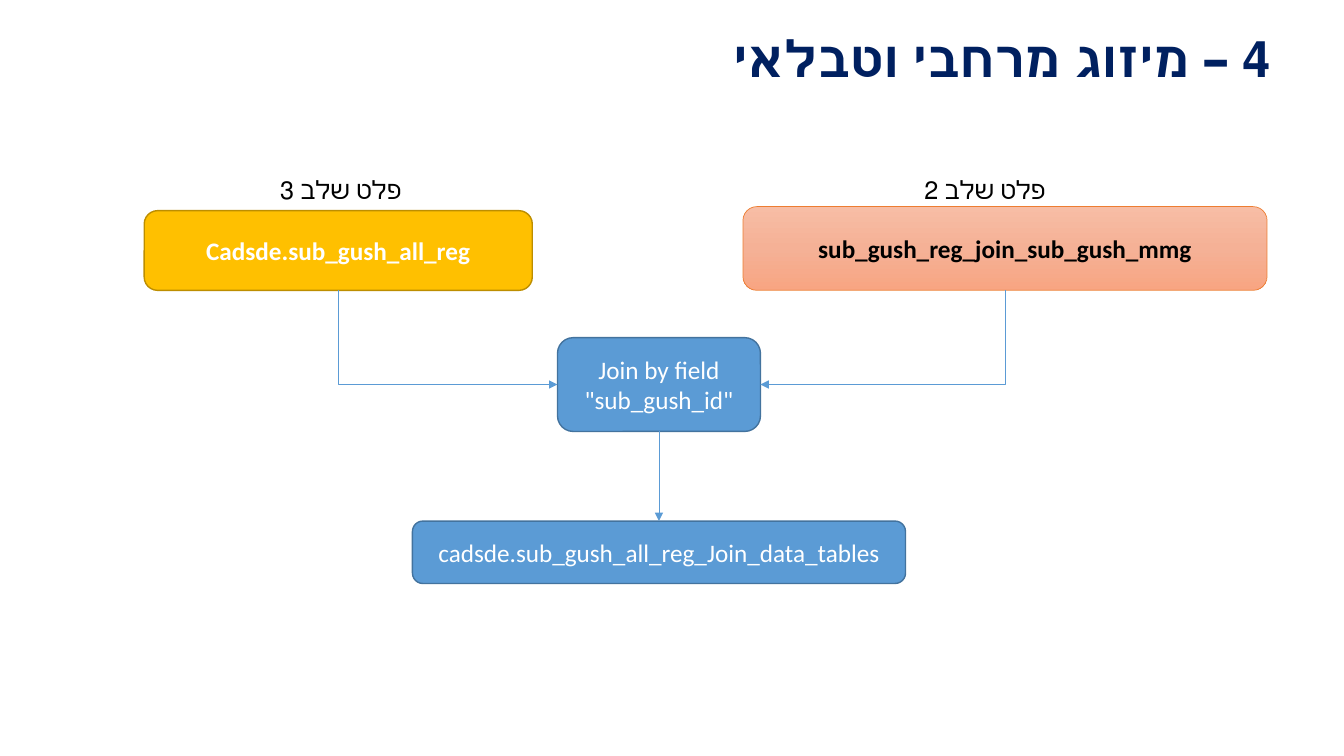
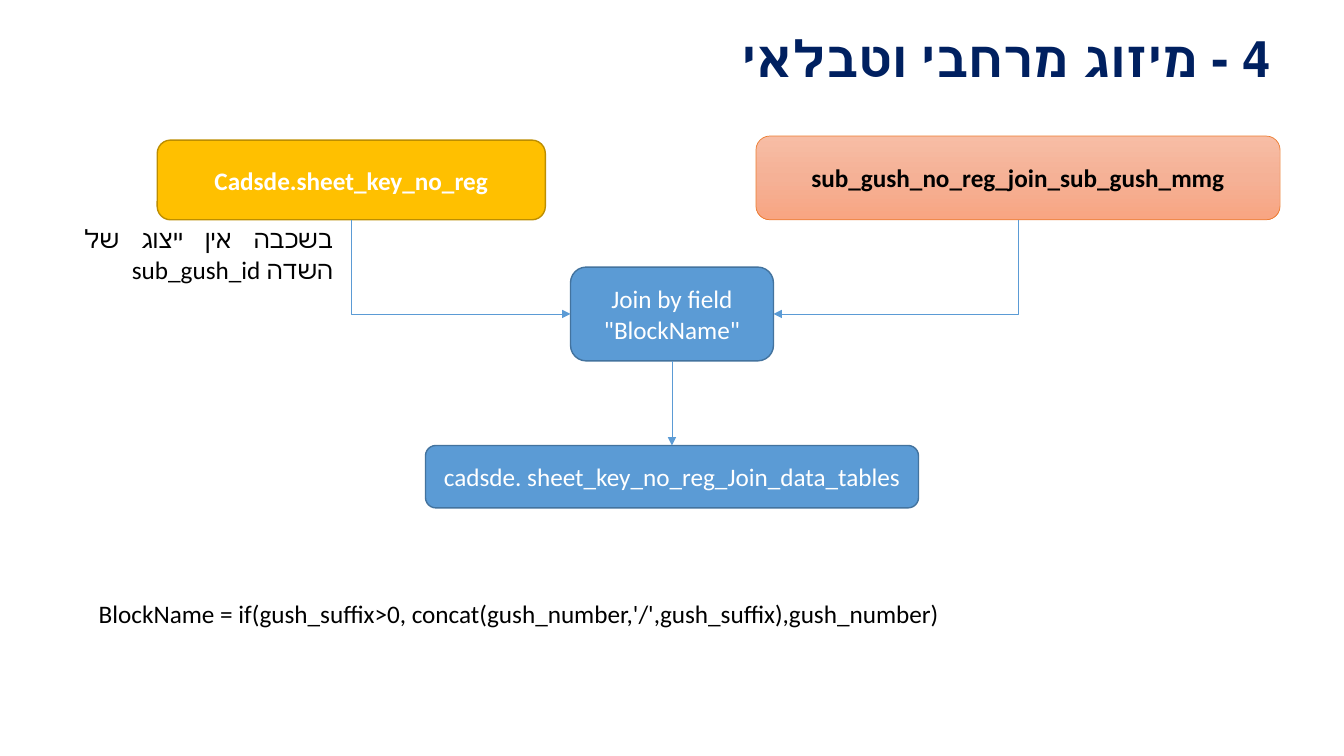
from copy import deepcopy

from lxml.etree import SubElement
from pptx import Presentation
from pptx.dml.color import RGBColor
from pptx.enum.shapes import MSO_CONNECTOR as Connector, MSO_SHAPE as Shape
from pptx.enum.text import MSO_ANCHOR as Anchor, PP_ALIGN as Align
from pptx.oxml.ns import qn
from pptx.util import Pt

COLORS = {
    "title": "002060",
    "dark": "000000",
    "light": "FFFFFF",
    "amber": "FFC000",
    "amber_line": "BD8E00",
    "blue": "5B9BD5",
    "blue_line": "43739E",
    "salmon_line": "ED7D31",
}
SALMON_STOPS = [(0, "F7BDA5"), (0.5, "F5B196"), (1, "F8A582")]

TITLE_FONT = {"name": "Calibri", "size": Pt(36), "bold": True}
BODY_FONT = {"name": "Calibri", "size": Pt(18), "bold": False}
STRONG_FONT = {**BODY_FONT, "bold": True}

RTL_TITLE = {"alignment": Align.RIGHT, "line_spacing": 0.9}
RTL_NOTE = {"alignment": Align.JUSTIFY}
CENTERED = {"alignment": Align.CENTER}

BLUE_BOX = {"fill": "blue", "line": "blue_line", "width": 1, "color": "light", "font": BODY_FONT}
AMBER_BOX = {"fill": "amber", "line": "amber_line", "width": 1, "color": "light", "font": STRONG_FONT}
SALMON_BOX = {"fill": None, "line": "salmon_line", "width": 0.5, "color": "dark", "font": STRONG_FONT}

TOP, LEFT, BOTTOM, RIGHT = range(4)


def rgb(name):
    return RGBColor.from_string(COLORS[name])


def apply_format(target, values):
    for name, value in values.items():
        setattr(target, name, value)


def write_text(shape, text, font, color, layout, anchor, rtl=False):
    frame = shape.text_frame
    apply_format(frame, {"word_wrap": True, "vertical_anchor": anchor})
    paragraph = frame.paragraphs[0]
    apply_format(paragraph, layout)
    if rtl:
        paragraph._p.get_or_add_pPr().set("rtl", "1")
    run = paragraph.add_run()
    run.text = text
    apply_format(run.font, font)
    run.font.color.rgb = rgb(color)


def add_text(slide, box, text, font=BODY_FONT, color="dark", layout={}, anchor=Anchor.TOP, rtl=False):
    shape = slide.shapes.add_textbox(*map(Pt, box))
    write_text(shape, text, font, color, layout, anchor, rtl)


def fill_gradient(shape):
    shape.fill.gradient()
    shape.fill.gradient_angle = 270
    stop_list = shape.element.spPr.find(".//" + qn("a:gsLst"))
    stop_list.append(deepcopy(stop_list[-1]))
    for stop, (position, color) in zip(shape.fill.gradient_stops, SALMON_STOPS):
        stop.position = position
        stop.color.rgb = RGBColor.from_string(color)


def add_box(slide, box, text, style):
    shape = slide.shapes.add_shape(Shape.ROUNDED_RECTANGLE, *map(Pt, box))
    shape.shadow.inherit = False
    if style["fill"]:
        shape.fill.solid()
        shape.fill.fore_color.rgb = rgb(style["fill"])
    else:
        fill_gradient(shape)
    shape.line.color.rgb = rgb(style["line"])
    shape.line.width = Pt(style["width"])
    write_text(shape, text, style["font"], style["color"], CENTERED, Anchor.MIDDLE)
    return shape


def add_arrow(slide, start, start_site, end, end_site, arrow_end, bent=False):
    kind = Connector.ELBOW if bent else Connector.STRAIGHT
    connector = slide.shapes.add_connector(kind, 0, 0, 0, 0)
    connector.begin_connect(start, start_site)
    connector.end_connect(end, end_site)
    connector.line.color.rgb = rgb("blue")
    connector.line.width = Pt(0.5)
    properties = connector.element.spPr
    if bent:
        properties.find(qn("a:prstGeom")).set("prst", "bentConnector2")
    SubElement(properties.find(qn("a:ln")), qn(arrow_end), type="triangle")
    SubElement(properties, qn("a:effectLst"))


def add_title(slide, text):
    add_text(slide, (44.6, 19.4, 870, 49), text, TITLE_FONT, "title", RTL_TITLE, Anchor.MIDDLE, True)


def add_note(slide, box, text):
    add_text(slide, box, text, layout=RTL_NOTE, rtl=True)


def add_join_diagram(slide, left, top, result_top, layer, table, field, result):
    layer_box = add_box(slide, (left, top + 2.9, 277.2, 56.9), layer, AMBER_BOX)
    join_box = add_box(slide, (left + 295.2, top + 93.6, 145, 67), f'Join by field "{field}"', BLUE_BOX)
    table_box = add_box(slide, (left + 427.7, top, 374.4, 59.8), table, SALMON_BOX)
    result_box = add_box(slide, (left + 191.6, result_top, 352.2, 44.6), result, BLUE_BOX)
    add_arrow(slide, join_box, LEFT, layer_box, BOTTOM, "a:headEnd", bent=True)
    add_arrow(slide, join_box, RIGHT, table_box, BOTTOM, "a:headEnd", bent=True)
    add_arrow(slide, join_box, BOTTOM, result_box, TOP, "a:tailEnd")


def build_registered(slide):
    add_title(slide, "4 – מיזוג מרחבי וטבלאי")
    add_join_diagram(
        slide, 103, 147.6, 372.2,
        "Cadsde.sub_gush_all_reg",
        "sub_gush_reg_join_sub_gush_mmg",
        "sub_gush_id",
        "cadsde.sub_gush_all_reg_Join_data_tables",
    )
    for left, text in ((648.7, "פלט שלב 2"), (188.6, "פלט שלב 3")):
        add_note(slide, (left, 121, 105, 29), text)


def build_unregistered(slide):
    add_title(slide, "4 - מיזוג מרחבי וטבלאי")
    add_join_diagram(
        slide, 112.3, 97.2, 318.2,
        "Cadsde.sheet_key_no_reg",
        "sub_gush_no_reg_join_sub_gush_mmg",
        "BlockName",
        "cadsde. sheet_key_no_reg_Join_data_tables",
    )
    add_note(slide, (53.3, 156.2, 191.5, 51), "בשכבה אין ייצוג של השדה sub_gush_id")
    add_text(
        slide, (63.4, 424, 725.8, 29),
        "BlockName = if(gush_suffix>0, concat(gush_number,'/',gush_suffix),gush_number)",
    )


def main():
    presentation = Presentation()
    apply_format(presentation, {"slide_width": Pt(960), "slide_height": Pt(540)})
    for build in (build_registered, build_unregistered):
        build(presentation.slides.add_slide(presentation.slide_layouts[6]))
    presentation.save("out.pptx")


if __name__ == "__main__":
    main()
